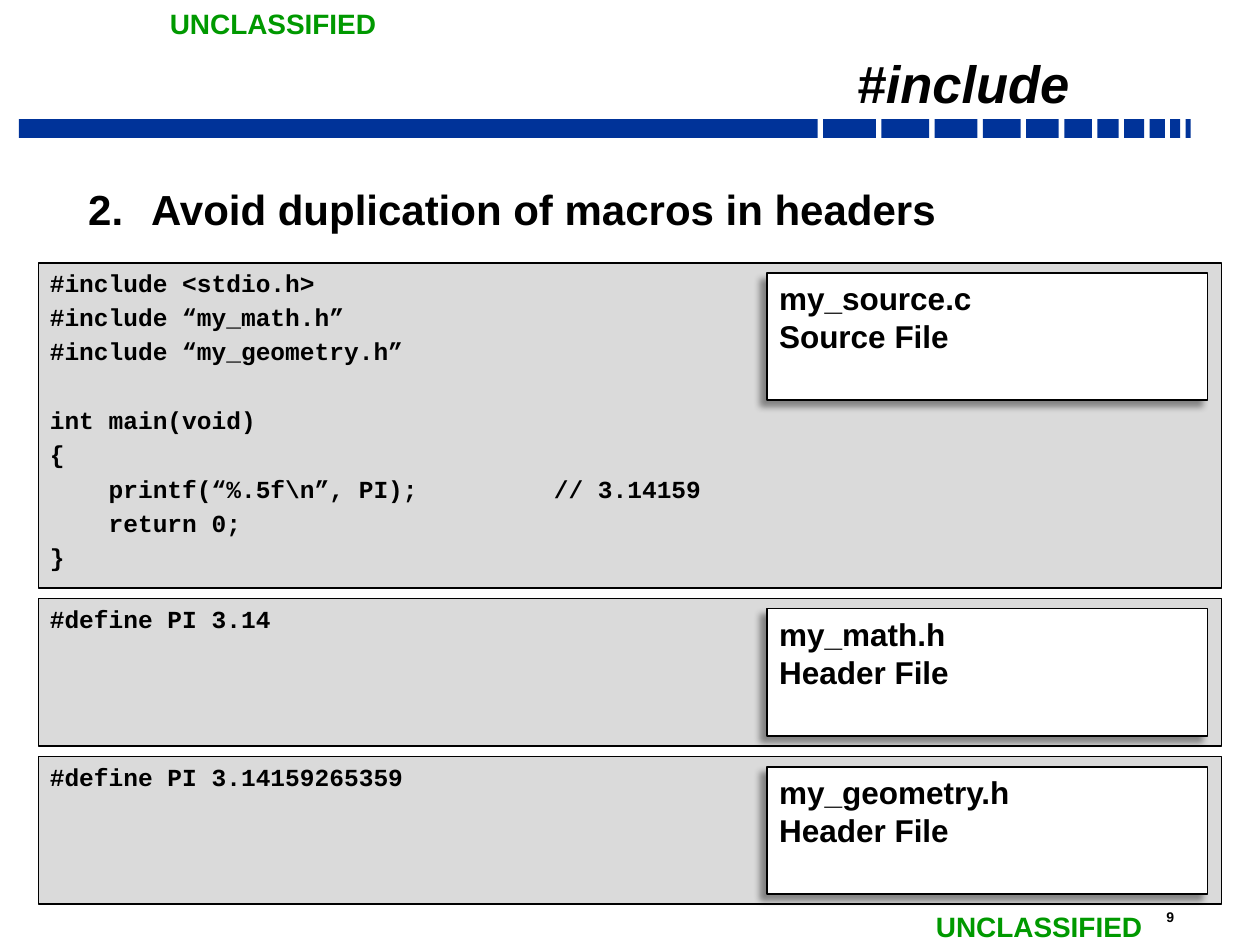
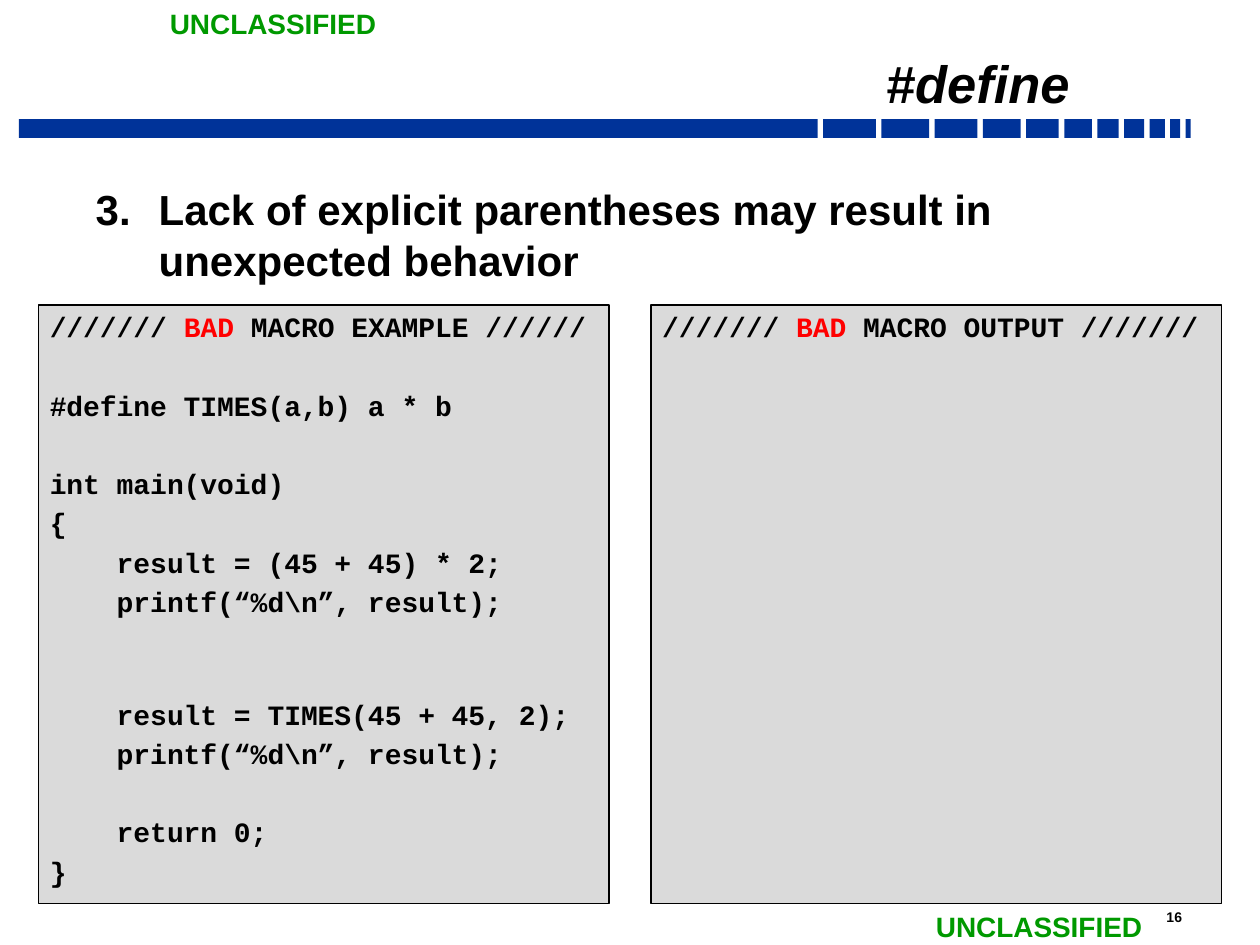
from lxml import etree
from pptx import Presentation
from pptx import util as u
from pptx.dml.color import RGBColor
from pptx.enum import shapes, text
from pptx.oxml.ns import qn

INK = {"black": "000000", "white": "FFFFFF", "blue": "003399",
       "green": "009900", "red": "FF0000", "gray": "DADADA"}
SANS, MONO = "Arial", "Courier New"
COLS, ROWS = 100, 75
WIDE, HIGH = u.Inches(10), u.Inches(7.5)

BARS = [6.34, .42, .38, .34, .30, .26, .22, .17, .16, .12, .08, .04]
BAND = (1.5, 9.45, 93, 1.5)
EDGE, SPAN, FLOOR = 3.05, 93.9, 71.7

MAIN = """\
#include <stdio.h>
#include “my_math.h”
#include “my_geometry.h”

int main(void)
{
    printf(“%.5f\\n”, PI);\t\t// 3.14159
    return 0;
}"""

MACRO = """\
/////// BAD MACRO EXAMPLE //////

#define TIMES(a,b) a * b

int main(void)
{
    result = (45 + 45) * 2;
    printf(“%d\\n”, result);


    result = TIMES(45 + 45, 2);
    printf(“%d\\n”, result);

    return 0;
}"""

# rows high, code, file name, kind of file
FILES = [(25.8, MAIN, "my_source.c", "Source File"),
         (11.7, "#define PI 3.14", "my_math.h", "Header File"),
         (11.7, "#define PI 3.14159265359", "my_geometry.h", "Header File")]


def place(box):
    """Turn a box in columns and rows into slide lengths."""
    x, y, w, h = box
    return (int(x * WIDE / COLS), int(y * HIGH / ROWS),
            int(w * WIDE / COLS), int(h * HIGH / ROWS))


def tint(hue):
    return RGBColor.from_string(INK[hue])


def add_run(para, words, size, hue="black", face=SANS, slant=False):
    run = para.add_run()
    run.text = words
    font = run.font
    font.name, font.size, font.bold, font.italic = face, u.Pt(size), True, slant
    font.color.rgb = tint(hue)


def set_frame(frame, side=.1, top=.05, wrap=True, anchor=text.MSO_ANCHOR.TOP):
    frame.margin_left = frame.margin_right = u.Inches(side)
    frame.margin_top, frame.margin_bottom = u.Inches(top), u.Inches(.04)
    frame.word_wrap, frame.vertical_anchor = wrap, anchor
    frame.auto_size = text.MSO_AUTO_SIZE.NONE


def add_rect(home, box, fill, line=None):
    rect = home.add_shape(shapes.MSO_SHAPE.RECTANGLE, *place(box))
    rect.shadow.inherit = False
    rect.fill.solid()
    rect.fill.fore_color.rgb = tint(fill)
    if line:
        rect.line.color.rgb = tint(line)
        rect.line.width = u.Pt(1)
    else:
        rect.line.fill.background()
    return rect


def add_note(slide, box, words, size, hue, wrap=False):
    frame = slide.shapes.add_textbox(*place(box)).text_frame
    set_frame(frame, wrap=wrap)
    add_run(frame.paragraphs[0], words, size, hue)


def add_band(slide, box):
    """Draw the title rule as bars with equal gaps across the box."""
    x, y, w, h = box
    group = slide.shapes.add_group_shape().shapes
    gap = (w - sum(BARS) * 10) / (len(BARS) - 1)
    for bar in BARS:
        add_rect(group, (x, y, bar * 10, h), "blue")
        x += bar * 10 + gap


def add_title(slide, box, words):
    title = slide.shapes.title
    title.left, title.top, title.width, title.height = place(box)
    set_frame(title.text_frame, .09, .04, anchor=text.MSO_ANCHOR.BOTTOM)
    para = title.text_frame.paragraphs[0]
    para.alignment, para.line_spacing = text.PP_ALIGN.RIGHT, .7
    add_run(para, words, 30, slant=True)


def add_point(slide, box, start, words, left):
    """Add a numbered statement with a hanging indent."""
    frame = slide.shapes.add_textbox(*place(box)).text_frame
    set_frame(frame, .09, .04)
    para = frame.paragraphs[0]
    props = para._p.get_or_add_pPr()
    props.set("marL", str(u.Inches(left)))
    props.set("indent", str(u.Inches(-.5)))
    etree.SubElement(props, qn("a:buFont"), typeface="+mj-lt")
    etree.SubElement(props, qn("a:buAutoNum"), type="arabicPeriod",
                     startAt=str(start))
    add_run(para, words, 24)


def add_tabs(para):
    tabs = etree.SubElement(para._p.get_or_add_pPr(), qn("a:tabLst"))
    for inch in (3, 4):
        etree.SubElement(tabs, qn("a:tab"), pos=str(u.Inches(inch)), algn="l")


def add_code(slide, box, code, size):
    """Fill a gray panel with code; empty lines become space before."""
    frame = add_rect(slide.shapes, box, "gray", "black").text_frame
    set_frame(frame, .09, .04)
    para, blank = frame.paragraphs[0], 0
    for row, line in enumerate(code.split("\n")):
        if not line:
            blank += 1
            continue
        if row:
            para = frame.add_paragraph()
            skip = 1.24 * blank + .16 if blank else 0
            para.space_before = u.Pt(round(size * (.2 + skip), 1))
        blank = 0
        para.alignment = text.PP_ALIGN.LEFT
        if "\t" in line:
            add_tabs(para)
        for part, hue in zip(line.partition("BAD"), ("black", "red", "black")):
            if part:
                add_run(para, part, size, hue, MONO)


def add_shade(shape):
    """Give a shape a soft shadow to the lower left."""
    glow = shape._element.spPr.find(qn("a:effectLst"))
    cast = etree.SubElement(glow, qn("a:outerShdw"), blurRad=str(u.Pt(4)),
                            dist=str(u.Pt(5)), dir=str(135 * 60000),
                            algn="tr", rotWithShape="0")
    hue = etree.SubElement(cast, qn("a:srgbClr"), val=INK["black"])
    etree.SubElement(hue, qn("a:alpha"), val="40000")


def add_label(slide, box, lines):
    label = add_rect(slide.shapes, box, "white", "black")
    add_shade(label)
    frame = label.text_frame
    set_frame(frame)
    for row, line in enumerate(lines):
        para = frame.add_paragraph() if row else frame.paragraphs[0]
        para.alignment = text.PP_ALIGN.LEFT
        add_run(para, line, 18)


def add_slide(deck, title, number):
    """Start a slide with the band, markings, number and title."""
    slide = deck.slides.add_slide(deck.slide_layouts[5])
    add_band(slide, BAND)
    add_note(slide, (91.6, FLOOR - .1, 5.4, 2.3), number, 8, "black", True)
    for x, y in ((12.5, 0), (73.3, FLOOR)):
        add_note(slide, (x, y, 18.6, 3.7), "UNCLASSIFIED", 16, "green")
    add_title(slide, (16.6, 3.4, 69.2, 5.9), title)
    return slide


def add_files(slide, box, gap=.85):
    """Stack the files, each with its label at the right."""
    x, y, w, _ = box
    for high, code, name, kind in FILES:
        add_code(slide, (x, y, w, high), code, 14)
        add_label(slide, (x + w - 36.1, y + .8, 35, 10.1), (name, kind))
        y += high + gap


def add_pair(slide, box, codes, gap=3.3):
    """Set panels of equal width side by side."""
    x, y, w, h = box
    wide = (w - gap * (len(codes) - 1)) / len(codes)
    for col, code in enumerate(codes):
        add_code(slide, (x + col * (wide + gap), y, wide, h), code, 16)


def main():
    deck = Presentation()
    deck.slide_width, deck.slide_height = WIDE, HIGH
    body = (6.1, 14.2, 90.7, 10)

    slide = add_slide(deck, "#include", "9")
    add_point(slide, body, 2, "Avoid duplication of macros in headers", .5)
    add_files(slide, (EDGE, 20.85, SPAN, FLOOR - 20.85))

    slide = add_slide(deck, "#define", "16")
    add_point(slide, body, 3, "Lack of explicit parentheses may result in "
              "unexpected behavior", .56)
    add_pair(slide, (EDGE, 24.2, SPAN, FLOOR - 24.2),
             (MACRO, "/////// BAD MACRO OUTPUT ///////"))
    deck.save("out.pptx")


if __name__ == "__main__":
    main()
